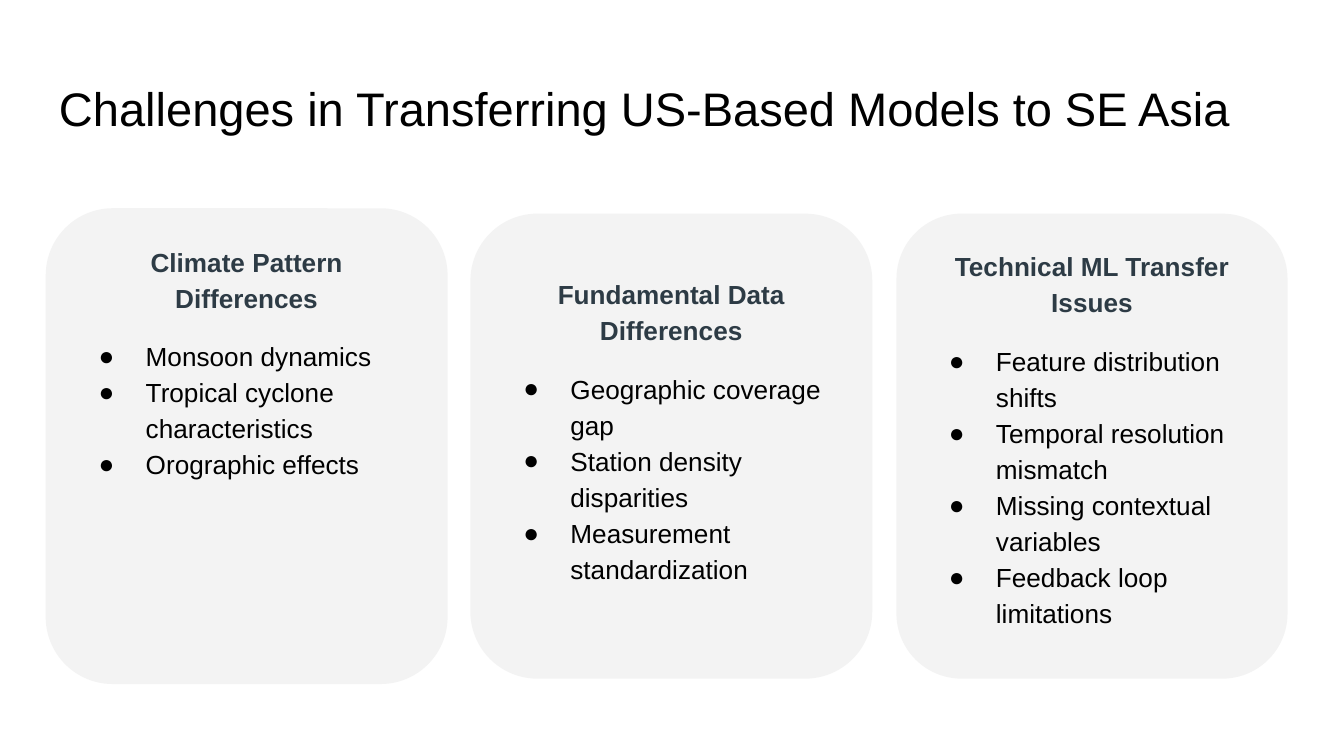
from pptx import Presentation
from pptx.dml.color import RGBColor
from pptx.enum.shapes import MSO_SHAPE as Shape
from pptx.enum.text import MSO_ANCHOR as Anchor, PP_ALIGN as Align
from pptx.util import Inches, Pt
from lxml.etree import SubElement

BLACK = RGBColor(0x00, 0x00, 0x00)
SLATE = RGBColor(0x2D, 0x3B, 0x45)
GRAY = RGBColor(0xF3, 0xF3, 0xF3)
FONT = "Arial"
PAD = 0.1
WIDE = 10
HIGH = WIDE * 9 / 16


def write(para, text, size=14, color=BLACK, bold=False, align=Align.LEFT,
          line=None, before=0, bullet=None):
    """Fill a paragraph with formatted text, bulleted if a mark is given."""
    props = para._p.get_or_add_pPr()
    para.alignment = align
    para.space_before = Pt(before)
    if line:
        para.line_spacing = line
    if bullet:
        props.set("marL", str(Inches(0.5)))
        props.set("indent", str(Inches(-0.35)))
        space = props.nsmap["a"]
        tint = SubElement(props, f"{{{space}}}buClr")
        SubElement(tint, f"{{{space}}}srgbClr", val=str(color))
        SubElement(props, f"{{{space}}}buSzPts", val=str(size * 100))
        SubElement(props, f"{{{space}}}buFont", typeface=FONT)
        SubElement(props, f"{{{space}}}buChar", char=bullet)
    run = para.add_run()
    run.text = text
    font = run.font
    font.name, font.size, font.bold = FONT, Pt(size), bold
    font.color.rgb = color


class Deck:
    def __init__(self, wide, high):
        self.prs = Presentation()
        self.prs.slide_width = Inches(wide)
        self.prs.slide_height = Inches(high)
        self.slide = self.prs.slides.add_slide(self.prs.slide_layouts[6])

    def frame(self, shape, anchor, foot=PAD):
        """Set wrapping, anchor and margins; foot is the bottom margin."""
        text = shape.text_frame
        text.word_wrap = True
        text.vertical_anchor = anchor
        text.margin_left = text.margin_right = text.margin_top = Inches(PAD)
        text.margin_bottom = Inches(foot)
        return text

    def title(self, text, *box):
        shape = self.slide.shapes.add_textbox(*map(Inches, box))
        frame = self.frame(shape, Anchor.TOP)
        write(frame.paragraphs[0], text, size=25.2)

    def card(self, head, items, *box, anchor=Anchor.TOP, foot=PAD):
        shape = self.slide.shapes.add_shape(
            Shape.ROUNDED_RECTANGLE, *map(Inches, box))
        shape.shadow.inherit = False
        shape.fill.solid()
        shape.fill.fore_color.rgb = GRAY
        shape.line.fill.background()
        frame = self.frame(shape, anchor, foot)
        write(frame.paragraphs[0], head, color=SLATE, bold=True,
              align=Align.CENTER, line=1.15)
        for i, item in enumerate(items):
            write(frame.add_paragraph(), item, line=1.15,
                  before=0 if i else 12, bullet="●")


def main():
    deck = Deck(WIDE, HIGH)
    deck.title("Challenges in Transferring US-Based Models to SE Asia",
               0.34, 0.49, 9.32, 0.63)
    deck.card("Fundamental Data Differences",
              ["Geographic coverage gap", "Station density disparities",
               "Measurement standardization"],
              3.5, 1.59, 2.99, 3.46, anchor=Anchor.MIDDLE, foot=0.35)
    deck.card("Climate Pattern Differences",
              ["Monsoon dynamics", "Tropical cyclone characteristics",
               "Orographic effects"],
              0.34, 1.55, 2.99, 3.54)
    deck.card("Technical ML Transfer Issues",
              ["Feature distribution shifts", "Temporal resolution mismatch",
               "Missing contextual variables", "Feedback loop limitations"],
              6.67, 1.59, 2.91, 3.46)
    deck.prs.save("out.pptx")


if __name__ == "__main__":
    main()
